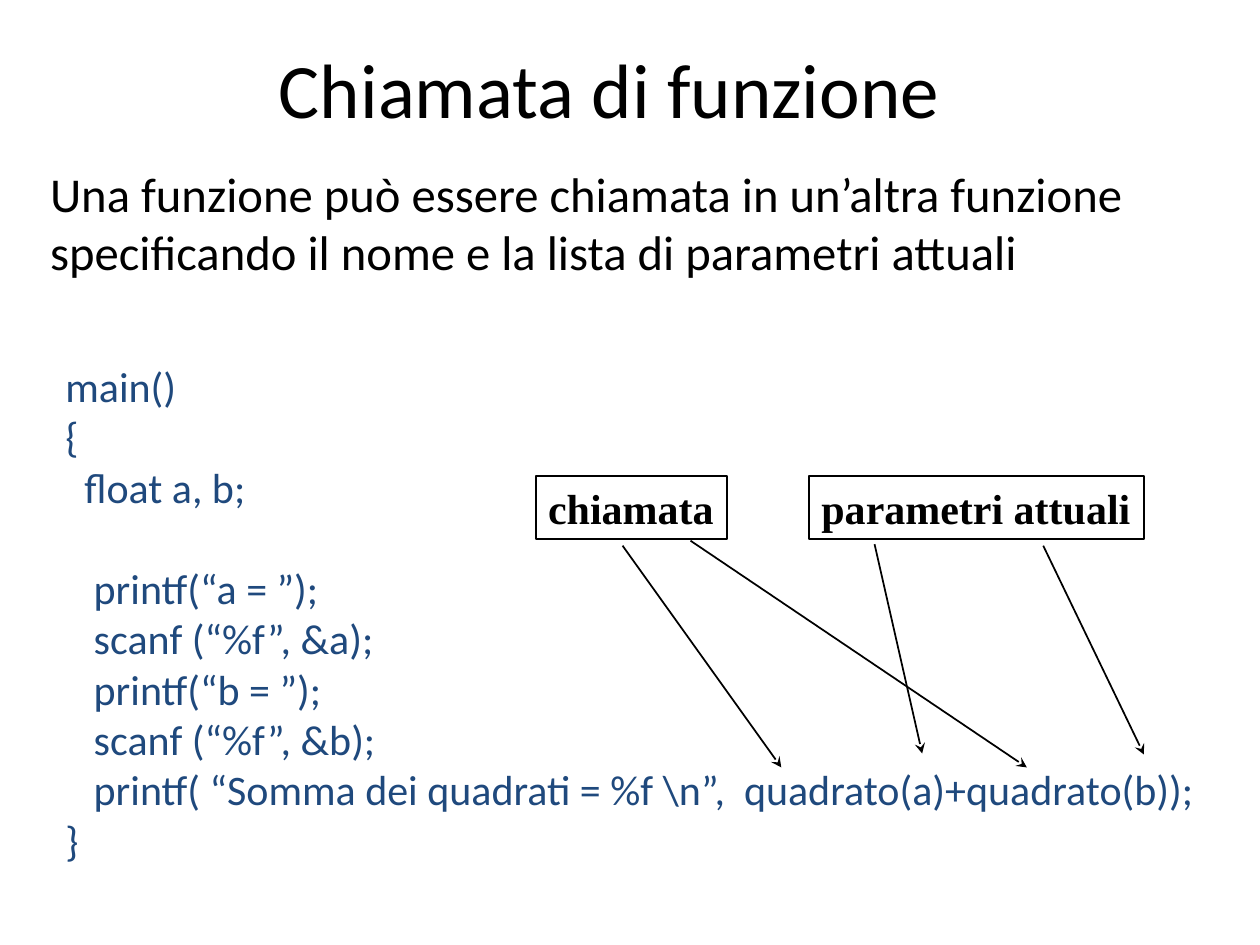
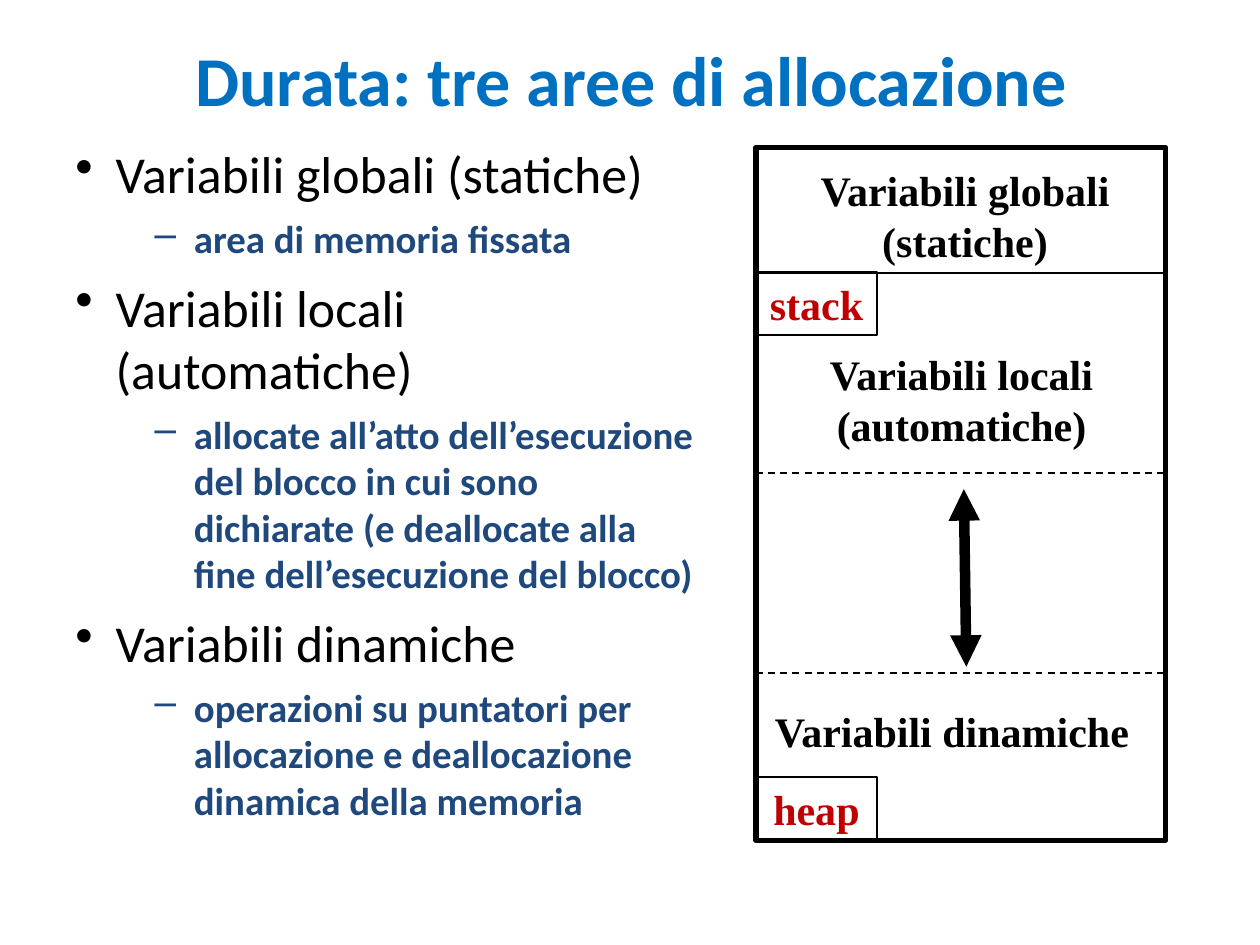
import dataclasses
import typing

import lxml.etree
import pptx
import pptx.dml.color
import pptx.enum.dml
import pptx.enum.shapes
import pptx.enum.text
import pptx.oxml.ns
import pptx.util

Cm = pptx.util.Cm
Pt = pptx.util.Pt
Align = pptx.enum.text.PP_ALIGN
qn = pptx.oxml.ns.qn


@dataclasses.dataclass(frozen=True)
class Theme:
    black: str = "000000"
    navy: str = "1F497D"
    blue: str = "0070C0"
    red: str = "C00000"
    sans: str = "Calibri"
    serif: str = "Times New Roman"
    title: float = 44
    small_title: float = 40
    lead: float = 27.8
    topic: float = 29.6
    detail: float = 22.2
    label: float = 24
    thin: float = 1
    frame: float = 3
    thick: float = 6


THEME = Theme()


@dataclasses.dataclass(frozen=True)
class Box:
    """Position and size in centimetres."""
    left: float
    top: float
    width: float
    height: float

    def lengths(self) -> tuple:
        return tuple(Cm(side) for side in dataclasses.astuple(self))


@dataclasses.dataclass(frozen=True)
class Label:
    lines: tuple[str, ...]
    box: Box
    outlined: bool = False
    wrap: bool = True
    color: str = THEME.black
    align: typing.Any = Align.CENTER


@dataclasses.dataclass(frozen=True)
class Line:
    start: tuple[float, float]
    end: tuple[float, float]
    width: float = THEME.thin
    dashed: bool = False
    head: str = ""
    tail: str = ""


def rgb(color: str) -> pptx.dml.color.RGBColor:
    return pptx.dml.color.RGBColor.from_string(color)


def write(frame, text: str, *, size: float, font: str = THEME.sans,
          color: str = THEME.black, bold: bool = False, align=Align.LEFT,
          space_before: float = 0, margin: float = 0, hanging: float = 0,
          bullet: str = "") -> None:
    """Fill the frame's first paragraph, or add one if that is taken."""
    paragraph = frame.paragraphs[0]
    if paragraph.runs:
        paragraph = frame.add_paragraph()
    paragraph.alignment = align
    paragraph.space_before = Pt(space_before)
    run = paragraph.add_run()
    run.text = text
    run.font.size = Pt(size)
    run.font.name = font
    run.font.bold = bold
    run.font.color.rgb = rgb(color)
    properties = paragraph._p.get_or_add_pPr()
    properties.set("marL", str(Cm(margin)))
    properties.set("indent", str(-Cm(hanging)))
    if bullet:
        bullet_color = lxml.etree.SubElement(properties, qn("a:buClr"))
        lxml.etree.SubElement(bullet_color, qn("a:srgbClr"), val=color)
        lxml.etree.SubElement(properties, qn("a:buChar"), char=bullet)


def add_titled_slide(deck, title: str, box: Box, **text_format):
    slide = deck.slides.add_slide(deck.slide_layouts[5])
    heading = slide.shapes.title
    heading.left, heading.top, heading.width, heading.height = box.lengths()
    heading.text_frame.vertical_anchor = pptx.enum.text.MSO_ANCHOR.MIDDLE
    write(heading.text_frame, title, align=Align.CENTER, **text_format)
    return slide


def add_text_area(slide, box: Box):
    area = slide.shapes.add_textbox(*box.lengths()).text_frame
    area.word_wrap = True
    return area


def add_outline(slide, box: Box, width: float):
    outline = slide.shapes.add_shape(
        pptx.enum.shapes.MSO_SHAPE.RECTANGLE, *box.lengths())
    outline.shadow.inherit = False
    outline.fill.background()
    outline.line.color.rgb = rgb(THEME.black)
    outline.line.width = Pt(width)
    return outline


def add_label(slide, label: Label) -> None:
    if label.outlined:
        frame = add_outline(slide, label.box, THEME.thin).text_frame
    else:
        frame = add_text_area(slide, label.box)
    frame.word_wrap = label.wrap
    frame.vertical_anchor = pptx.enum.text.MSO_ANCHOR.TOP
    for text in label.lines:
        write(frame, text, size=THEME.label, font=THEME.serif, bold=True,
              color=label.color, align=label.align)


def add_line(slide, line: Line) -> None:
    connector = slide.shapes.add_connector(
        pptx.enum.shapes.MSO_CONNECTOR.STRAIGHT,
        *(Cm(coordinate) for coordinate in line.start + line.end))
    connector.line.color.rgb = rgb(THEME.black)
    connector.line.width = Pt(line.width)
    if line.dashed:
        connector.line.dash_style = pptx.enum.dml.MSO_LINE.DASH
    stroke = connector.line._get_or_add_ln()
    for tag, arrowhead in (("a:headEnd", line.head), ("a:tailEnd", line.tail)):
        if arrowhead:
            lxml.etree.SubElement(stroke, qn(tag), type=arrowhead)
    lxml.etree.SubElement(connector._element.spPr, qn("a:effectLst"))


def build_function_call(deck) -> None:
    slide = add_titled_slide(deck, "Chiamata di funzione",
                             Box(1.45, 0.64, 21.67, 2.24), size=THEME.title)
    write(add_text_area(slide, Box(0.76, 3.18, 23.9, 3.02)),
          "Una funzione può essere chiamata in un’altra funzione "
          "specificando il nome e la lista di parametri attuali",
          size=THEME.lead, space_before=7.5)

    declaration, statement, blank_line = 0.38, 0.57, 29
    program = (
        ("main()", 0, 0),
        ("{", 0, 0),
        ("float a, b;", declaration, 0),
        ("printf(“a = ”);", statement, blank_line),
        ("scanf (“%f”, &a);", statement, 0),
        ("printf(“b = ”);", statement, 0),
        ("scanf (“%f”, &b);", statement, 0),
        ("printf( “Somma dei quadrati = %f \\n”,  quadrato(a)+quadrato(b));",
         statement, 0),
        ("}", 0, 0),
    )
    code = add_text_area(slide, Box(1.07, 7.14, 23.9, 10.41))
    for text, margin, gap in program:
        write(code, text, size=THEME.label, color=THEME.navy,
              margin=margin, space_before=gap)

    for text, left, width in (("chiamata", 10.8, 3.86),
                              ("parametri attuali", 16.31, 6.76)):
        add_label(slide, Label((text,), Box(left, 9.6, width, 1.27),
                               outlined=True, wrap=False, align=Align.LEFT))
    for start, end in (((12.55, 11), (15.75, 15.47)),
                       ((17.63, 10.97), (18.59, 15.19)),
                       ((21.03, 11), (23.06, 15.21)),
                       ((13.92, 10.9), (20.7, 15.47))):
        add_line(slide, Line(start, end, tail="stealth"))


def build_allocation_areas(deck) -> None:
    slide = add_titled_slide(deck, "Durata: tre aree di allocazione",
                             Box(0.43, 0.48, 24.59, 2.21),
                             size=THEME.small_title, color=THEME.blue,
                             bold=True)
    topics = (
        ("Variabili globali (statiche)", "area di memoria fissata"),
        ("Variabili locali (automatiche)",
         "allocate all’atto dell’esecuzione del blocco in cui sono dichiarate "
         "(e deallocate alla fine dell’esecuzione del blocco)"),
        ("Variabili dinamiche",
         "operazioni su puntatori per allocazione e deallocazione dinamica "
         "della memoria"),
    )
    explanation = add_text_area(slide, Box(1.27, 2.74, 13.13, 14.02))
    for topic, detail in topics:
        write(explanation, topic, size=THEME.topic, space_before=8,
              margin=0.81, hanging=0.81, bullet="•")
        write(explanation, detail, size=THEME.detail, color=THEME.navy,
              bold=True, space_before=6, margin=2.39, hanging=0.79, bullet="–")

    memory = Box(15.24, 2.97, 8.26, 13.97)
    add_outline(slide, memory, THEME.frame)
    for height, dashed in ((5.51, False), (9.53, True), (13.56, True)):
        add_line(slide, Line((memory.left, height),
                             (memory.left + memory.width, height),
                             dashed=dashed))
    add_line(slide, Line((19.43, 9.86), (19.48, 13.44), width=THEME.thick,
                         head="triangle", tail="triangle"))

    tag_width, tag_height = 2.44, 1.27
    heap_top = memory.top + memory.height - tag_height
    for label in (
        Label(("Variabili globali", "(statiche)"), Box(16.05, 3.2, 6.81, 2.29)),
        Label(("Variabili locali", "(automatiche)"),
              Box(16.31, 6.91, 6.15, 2.29)),
        Label(("Variabili dinamiche",), Box(15.37, 14.1, 8.05, 1.27),
              align=Align.LEFT),
        Label(("stack",), Box(memory.left, 5.49, tag_width, tag_height),
              outlined=True, color=THEME.red),
        Label(("heap",), Box(memory.left, heap_top, tag_width, tag_height),
              outlined=True, color=THEME.red),
    ):
        add_label(slide, label)


def main() -> None:
    deck = pptx.Presentation()
    deck.slide_width, deck.slide_height = Cm(25.4), Cm(19.05)
    build_function_call(deck)
    build_allocation_areas(deck)
    deck.save("out.pptx")


if __name__ == "__main__":
    main()
